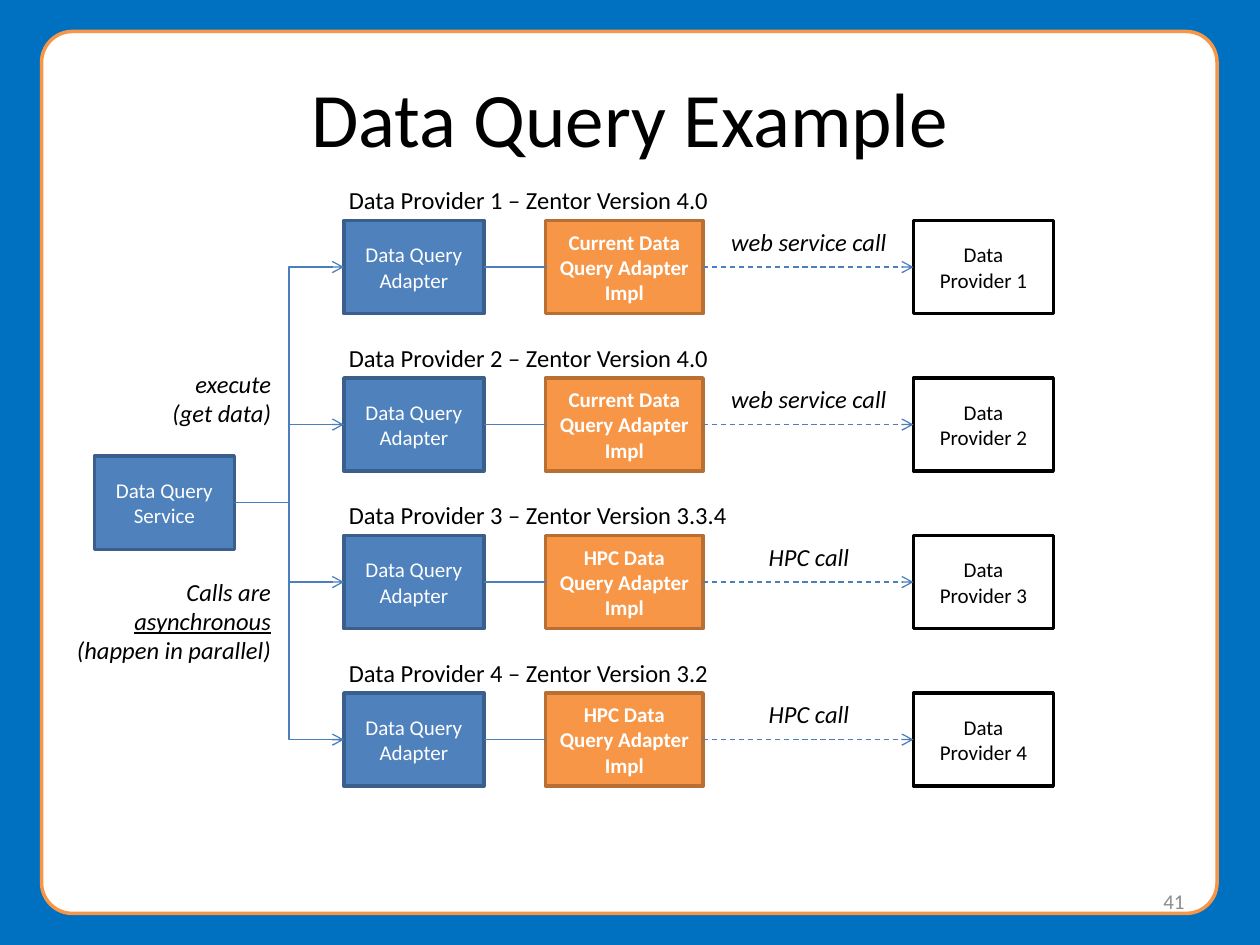
from lxml import etree
from pptx import Presentation
from pptx import util as u
from pptx.dml.color import RGBColor
from pptx.enum import dml, shapes, text
from pptx.oxml.ns import qn

BACK = RGBColor(0x00, 0x70, 0xC0)
BLUE = RGBColor(0x4F, 0x81, 0xBD)
NAVY = RGBColor(0x3A, 0x5F, 0x8C)
WIRE = RGBColor(0x4B, 0x7E, 0xBC)
GOLD = RGBColor(0xF7, 0x96, 0x46)
RUST = RGBColor(0xB7, 0x6F, 0x34)
GRAY = RGBColor(0x8C, 0x8C, 0x8C)
WHITE = RGBColor(0xFF, 0xFF, 0xFF)
BLACK = RGBColor(0x00, 0x00, 0x00)

LEFT, MID, RIGHT = text.PP_ALIGN.LEFT, text.PP_ALIGN.CENTER, text.PP_ALIGN.RIGHT
WEST, EAST = 1, 3  # connection sites of a rectangle
TOP, STEP = 1.75, 1.25  # first row and distance between rows
HIGH = 0.74

# Version, adapter kind and call of each provider
ROWS = [
    ("4.0", "Current Data Query Adapter\nImpl", "web service call"),
    ("4.0", "Current Data Query Adapter\nImpl", "web service call"),
    ("3.3.4", "HPC Data Query Adapter Impl", "HPC call"),
    ("3.2", "HPC Data Query Adapter Impl", "HPC call"),
]


def write(shape, words, size=12, color=BLACK, align=MID, bold=False,
          italic=False, under="", gap=0, middle=True):
    """Fill a shape with text; under is the underlined word,
    gap the space in points above the last paragraph."""
    frame = shape.text_frame
    frame.word_wrap = True
    frame.vertical_anchor = (
        text.MSO_ANCHOR.MIDDLE if middle else text.MSO_ANCHOR.TOP)
    for i, line in enumerate(words.split("\n")):
        para = frame.paragraphs[0] if i == 0 else frame.add_paragraph()
        para.alignment = align
        parts = line.partition(under) if under else (line,)
        for part in filter(None, parts):
            run = para.add_run()
            run.text = part
            font = run.font
            font.name, font.size = "Calibri", u.Pt(size)
            font.bold, font.italic = bold, italic
            font.underline = part == under
            font.color.rgb = color
    if gap:
        para.space_before = u.Pt(gap)


def label(slide, words, x, y, w, h, **form):
    box = slide.shapes.add_textbox(*map(u.Inches, (x, y, w, h)))
    write(box, words, **form)


def block(slide, x, y, w, h, fill, edge, kind=shapes.MSO_SHAPE.RECTANGLE):
    shape = slide.shapes.add_shape(kind, *map(u.Inches, (x, y, w, h)))
    shape.shadow.inherit = False
    shape.fill.solid()
    shape.fill.fore_color.rgb = fill
    shape.line.color.rgb = edge
    shape.line.width = u.Pt(2)
    return shape


def node(slide, words, x, y, fill, edge, w=1.11, **form):
    shape = block(slide, x, y, w, HIGH, fill, edge)
    write(shape, words, **form)
    return shape


def link(slide, start, end, bent=False, dash=False, arrow=False):
    kind = shapes.MSO_CONNECTOR.ELBOW if bent else shapes.MSO_CONNECTOR.STRAIGHT
    wire = slide.shapes.add_connector(kind, 0, 0, 0, 0)
    wire.begin_connect(start, EAST)
    wire.end_connect(end, WEST)
    wire.line.color.rgb = WIRE
    wire.line.width = u.Pt(0.75)
    if dash:
        wire.line.dash_style = dml.MSO_LINE.DASH
    if arrow:
        tail = etree.SubElement(wire.line._get_or_add_ln(), qn("a:tailEnd"))
        tail.set("type", "arrow")
    etree.SubElement(wire._element.spPr, qn("a:effectLst"))


def row(slide, hub, num, version, impl, call):
    y = TOP + STEP * (num - 1)
    label(slide, f"Data Provider {num} – Zentor Version {version}",
          2.67, y - 0.33, 3.42, 0.34, size=14, align=LEFT, middle=False)
    query = node(slide, "Data Query\nAdapter", 2.73, y, BLUE, NAVY, color=WHITE)
    adapt = node(slide, impl, 4.33, y, GOLD, RUST, w=1.25,
                 color=WHITE, bold=True)
    source = node(slide, f"Data Provider {num}", 7.25, y, WHITE, BLACK)
    link(slide, hub, query, bent=True, arrow=True)
    link(slide, query, adapt)
    link(slide, adapt, source, dash=True, arrow=True)
    label(slide, call, 5.67, y, 1.5, 0.34, size=14, italic=True, middle=False)


def main():
    deck = Presentation()
    deck.slide_width, deck.slide_height = u.Inches(10), u.Inches(7.5)
    slide = deck.slides.add_slide(deck.slide_layouts[6])

    # Background and rounded panel
    slide.background.fill.solid()
    slide.background.fill.fore_color.rgb = BACK
    panel = block(slide, 0.33, 0.25, 9.33, 7, WHITE, GOLD,
                  shapes.MSO_SHAPE.ROUNDED_RECTANGLE)
    panel.adjustments[0] = 0.035

    # Title and page number
    label(slide, "Data Query Example", 0.5, 0.3, 9, 1.25, size=44)
    label(slide, "41", 7.17, 6.95, 2.33, 0.4, color=GRAY, align=RIGHT)

    # Service that calls every provider
    hub = node(slide, "Data Query Service", 0.75, 3.62, BLUE, NAVY, color=WHITE)
    for num, data in enumerate(ROWS, 1):
        row(slide, hub, num, *data)

    # Notes above and below the service
    label(slide, "execute\n(get data)\n"
          "Calls are asynchronous (happen in parallel)",
          0.42, 2.88, 1.83, 2.46, size=14, align=RIGHT, italic=True,
          under="asynchronous", gap=85, middle=False)

    deck.save("out.pptx")


if __name__ == "__main__":
    main()
